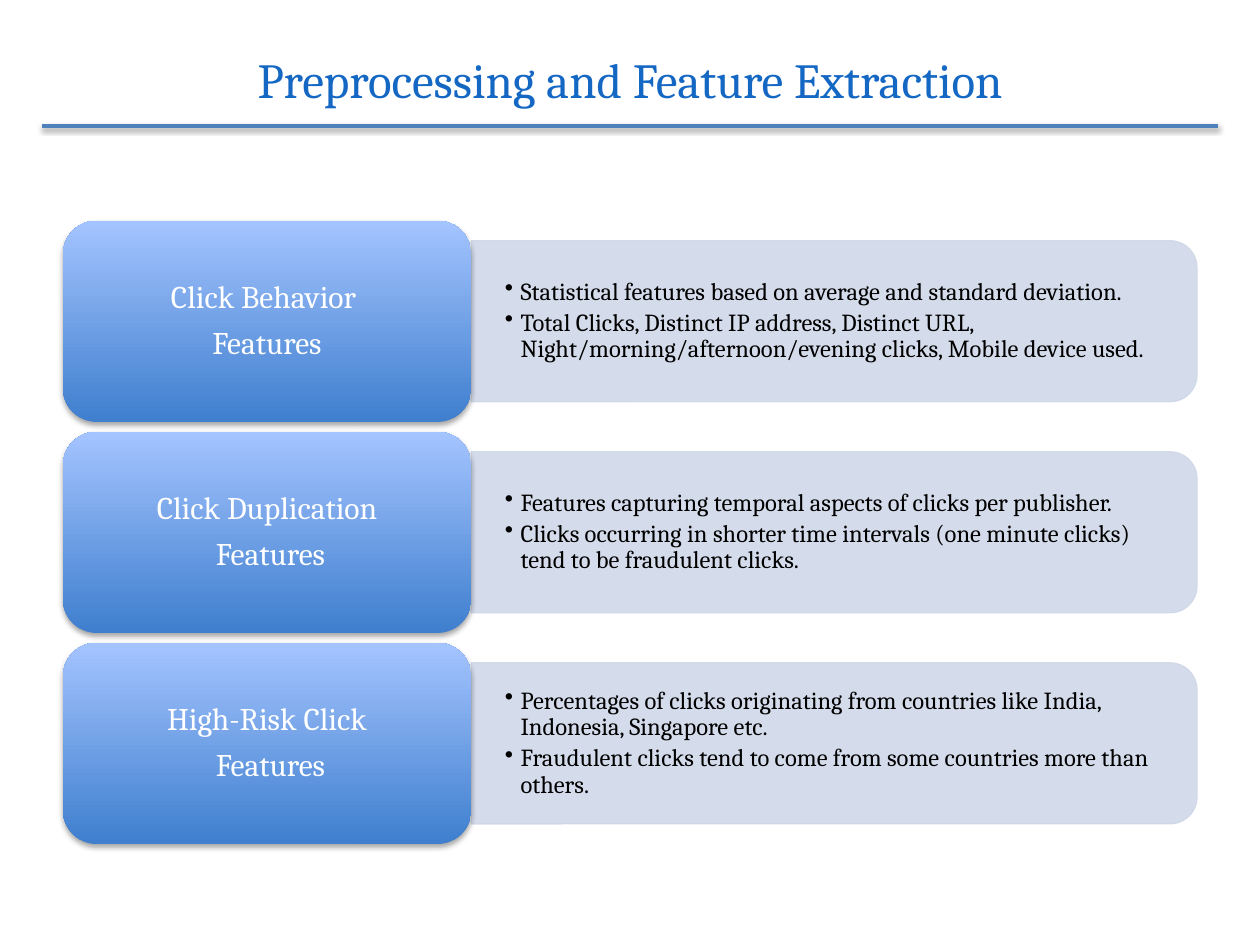
from lxml import etree
from pptx import Presentation
from pptx import util as u
from pptx.dml.color import RGBColor
from pptx.enum import shapes, text
from pptx.oxml.ns import qn


def color(hex_code):
    return RGBColor.from_string(hex_code)


def add_alpha(color_element, percent):
    etree.SubElement(color_element, qn("a:alpha"), val=str(percent * 1000))


class FeatureSlide:
    font = "Cambria"
    title_color = "1468C4"
    rule_color = "4F81BD"
    panel_color = "D0D8E8"
    card_colors = ("3F7FCE", "A4C4FF")

    def __init__(self, slide):
        self.slide = slide

    def set_text(self, frame, lines, size, hex_code, align, line_spacing=None, after=0):
        frame.word_wrap = True
        frame.vertical_anchor = text.MSO_ANCHOR.MIDDLE
        for index, line in enumerate(lines):
            paragraph = frame.add_paragraph() if index else frame.paragraphs[0]
            paragraph.text = line
            paragraph.alignment = align
            paragraph.line_spacing = line_spacing
            paragraph.space_after = u.Pt(after)
            paragraph.font.name = self.font
            paragraph.font.size = u.Pt(size)
            paragraph.font.color.rgb = color(hex_code)

    def inset(self, frame, across, down):
        frame.margin_left = frame.margin_right = u.Pt(across)
        frame.margin_top = frame.margin_bottom = u.Pt(down)

    def cast_shadow(self, shape, percent, distance):
        properties = shape._element.spPr
        effects = properties.find(qn("a:effectLst"))
        if effects is None:
            effects = etree.SubElement(properties, qn("a:effectLst"))
        shadow = etree.SubElement(
            effects, qn("a:outerShdw"), blurRad=str(u.Pt(3.1)),
            dist=str(u.Pt(distance)), dir="5400000", rotWithShape="0")
        add_alpha(etree.SubElement(shadow, qn("a:srgbClr"), val="000000"), percent)

    def title(self, wording, left, top, width, height):
        box = self.slide.shapes.add_textbox(
            u.Pt(left), u.Pt(top), u.Pt(width), u.Pt(height))
        self.set_text(box.text_frame, [wording], 28, self.title_color,
                      text.PP_ALIGN.CENTER)

    def rule(self, left, right, y):
        line = self.slide.shapes.add_connector(
            shapes.MSO_CONNECTOR.STRAIGHT, u.Pt(left), u.Pt(y), u.Pt(right), u.Pt(y))
        line.line.color.rgb = color(self.rule_color)
        line.line.width = u.Pt(2)
        self.cast_shadow(line, 38, 1.6)

    def panel(self, left, middle, width, height):
        panel = self.slide.shapes.add_shape(
            shapes.MSO_SHAPE.ROUND_2_SAME_RECTANGLE,
            u.Pt(left + (width - height) / 2), u.Pt(middle - width / 2),
            u.Pt(height), u.Pt(width))
        panel.rotation = 90
        panel.shadow.inherit = False
        panel.fill.solid()
        panel.fill.fore_color.rgb = color(self.panel_color)
        panel.line.color.rgb = color(self.panel_color)
        panel.line.width = u.Pt(0.75)
        for tint in panel._element.spPr.iter(qn("a:srgbClr")):
            add_alpha(tint, 90)

    def bullets(self, points, left, middle, width, height):
        box = self.slide.shapes.add_textbox(
            u.Pt(left), u.Pt(middle - height / 2), u.Pt(width), u.Pt(height))
        self.inset(box.text_frame, 19.2, 9.6)
        self.set_text(box.text_frame, points, 14, "000000", text.PP_ALIGN.LEFT, 0.9, 2.5)
        for paragraph in box.text_frame.paragraphs:
            properties = paragraph._p.get_or_add_pPr()
            properties.set("marL", str(u.Pt(9)))
            properties.set("indent", str(u.Pt(-9)))
            etree.SubElement(properties, qn("a:buChar"), char="•")
            properties.append(properties.find(qn("a:defRPr")))

    def card(self, lines, left, middle, width, height):
        card = self.slide.shapes.add_shape(
            shapes.MSO_SHAPE.ROUNDED_RECTANGLE,
            u.Pt(left), u.Pt(middle - height / 2), u.Pt(width), u.Pt(height))
        card.shadow.inherit = False
        card.line.fill.background()
        card.fill.gradient()
        card.fill.gradient_angle = 90
        for stop, position, shade in zip(card.fill.gradient_stops, (0, 1),
                                         self.card_colors):
            stop.position = position
            stop.color.rgb = color(shade)
        self.cast_shadow(card, 35, 1.8)
        self.inset(card.text_frame, 5.4, 2.7)
        self.set_text(card.text_frame, lines, 18, "FFFFFF", text.PP_ALIGN.CENTER, 0.9, 7)


FEATURES = [
    (["Click Behavior ", "Features"],
     ["Statistical features based on average and standard deviation.",
      "Total Clicks, Distinct IP address, Distinct URL, "
      "Night/morning/afternoon/evening clicks, Mobile device used."]),
    (["Click Duplication", " Features"],
     ["Features capturing temporal aspects of clicks per publisher.",
      "Clicks occurring in shorter time intervals (one minute clicks) "
      "tend to be fraudulent clicks."]),
    (["High-Risk Click", " Features"],
     ["Percentages of clicks originating from countries like India, "
      "Indonesia, Singapore etc.",
      "Fraudulent clicks tend to come from some countries more than others."]),
]


def main():
    deck = Presentation()
    deck.slide_width, deck.slide_height = u.Pt(720), u.Pt(540)
    page = FeatureSlide(deck.slides.add_slide(deck.slide_layouts[6]))
    page.title("Preprocessing and Feature Extraction", 36, 0, 648, 90)

    card_left, card_width, card_height = 36, 233.28, 115
    panel_left = card_left + card_width
    first_middle, row_pitch = 183.6, 120.6
    for row, (heading, points) in enumerate(FEATURES):
        middle = first_middle + row * row_pitch
        page.panel(panel_left, middle, 414.72, 92)
        page.bullets(points, panel_left, middle, 410.4, 83)
        page.card(heading, card_left, middle, card_width, card_height)

    page.rule(24, 696, 72)
    deck.save("out.pptx")


if __name__ == "__main__":
    main()
